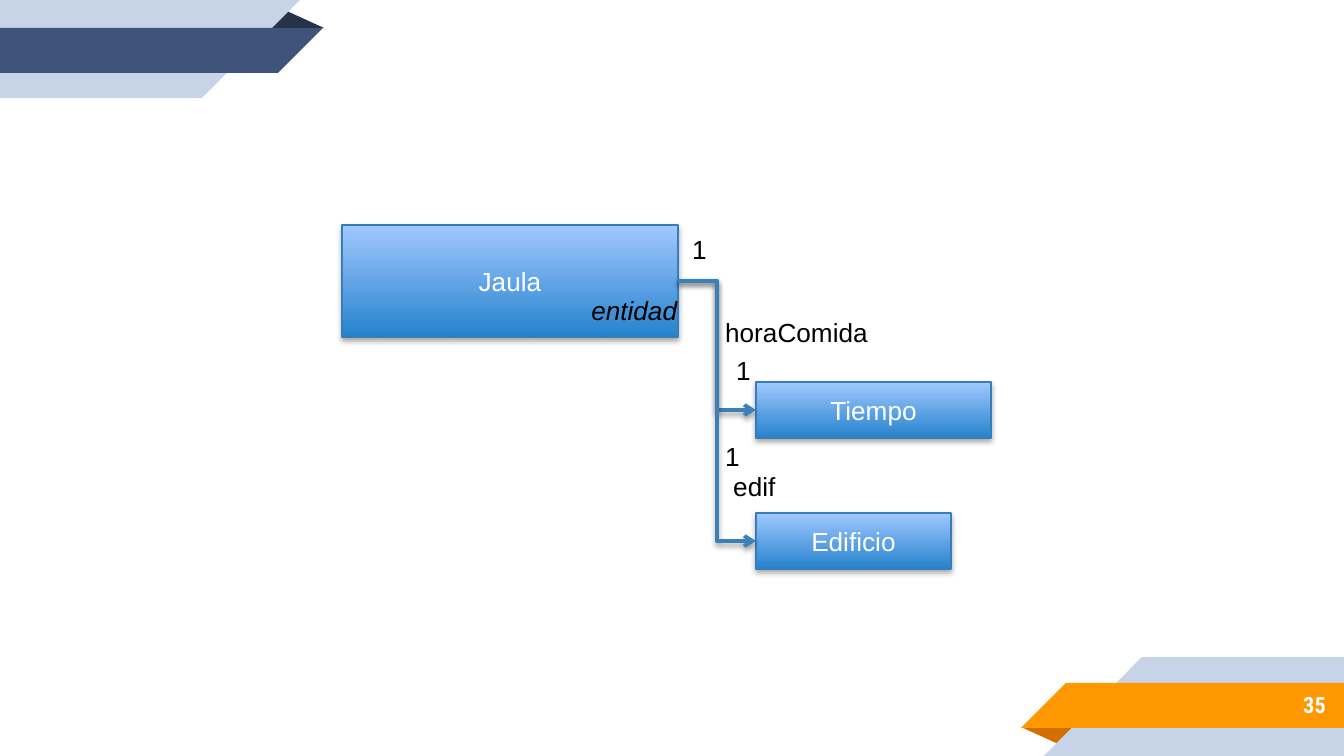
from lxml.etree import SubElement
from pptx import Presentation
from pptx.dml.color import RGBColor as Rgb
from pptx.enum.shapes import MSO_CONNECTOR as Connector, MSO_SHAPE as Shape
from pptx.enum.text import MSO_ANCHOR as Anchor, PP_ALIGN as Align
from pptx.oxml.ns import qn
from pptx.util import Emu, Pt

PX = 914400 / 134.4


class Theme:
    pale, navy, navy_fold = "C7D3E6", "3F5378", "263248"
    orange, orange_fold = "FF9800", "D26F00"
    box_low, box_high, box_line = "2783CD", "A0C8FF", "367EB9"
    arrow, ink, white = "3A81BA", "000000", "FFFFFF"
    font, number_font = "Arial", "Roboto Condensed"
    body_size, number_size = 14, 12


def write_text(shape, text, color=Theme.ink, size=Theme.body_size, font=Theme.font,
               bold=False, italic=False, align=Align.LEFT, anchor=Anchor.TOP, wrap=True):
    frame = shape.text_frame
    frame.word_wrap, frame.vertical_anchor = wrap, anchor
    para = frame.paragraphs[0]
    para.alignment = align
    span = para.add_run()
    span.text = text
    span.font.name, span.font.size = font, Pt(size)
    span.font.bold, span.font.italic = bold, italic
    span.font.color.rgb = Rgb.from_string(color)
    return frame


def add_shadow(properties, distance, opacity):
    effects = properties.find(qn("a:effectLst"))
    if effects is None:
        effects = SubElement(properties, qn("a:effectLst"))
    shadow = SubElement(effects, qn("a:outerShdw"), blurRad=str(Pt(3.1)),
                        dist=str(Pt(distance)), dir="5400000", rotWithShape="0")
    black = SubElement(shadow, qn("a:srgbClr"), val=Theme.ink)
    SubElement(black, qn("a:alpha"), val=str(opacity * 1000))


deck = Presentation()
deck.slide_width, deck.slide_height = Emu(round(1344 * PX)), Emu(round(756 * PX))
page = deck.slides.add_slide(deck.slide_layouts[6])
shapes = page.shapes

# Corner ribbons: kind, left, top, width, height, colour, rotation, mirrored
ribbons = [
    (Shape.ISOSCELES_TRIANGLE, 1021, 727, 58, 18, Theme.orange_fold, 180, False),
    (Shape.RECTANGLE, 1142, 657, 202, 99, Theme.pale, 0, False),
    (Shape.RIGHT_TRIANGLE, 1044, 657, 98, 99, Theme.pale, 0, True),
    (Shape.RECTANGLE, 1066, 683, 278, 45, Theme.orange, 0, False),
    (Shape.RIGHT_TRIANGLE, 1021, 683, 45, 45, Theme.orange, 0, True),
    (Shape.ISOSCELES_TRIANGLE, 266, 10, 58, 18, Theme.navy_fold, 0, False),
    (Shape.RECTANGLE, 0, 0, 202, 98, Theme.pale, 0, False),
    (Shape.RIGHT_TRIANGLE, 202, 0, 98, 98, Theme.pale, 180, True),
    (Shape.RECTANGLE, 0, 28, 278, 45, Theme.navy, 0, False),
    (Shape.RIGHT_TRIANGLE, 278, 28, 45, 45, Theme.navy, 180, True),
]
for kind, *place, color, rotation, mirrored in ribbons:
    ribbon = shapes.add_shape(kind, *[round(side * PX) for side in place])
    ribbon.shadow.inherit = False
    ribbon.fill.solid()
    ribbon.fill.fore_color.rgb = Rgb.from_string(color)
    ribbon.line.fill.background()
    ribbon.rotation = rotation
    if mirrored:
        ribbon._element.spPr.xfrm.set("flipH", "1")
    if kind == Shape.ISOSCELES_TRIANGLE:
        ribbon.adjustments[0] = 0.32

# Page number
number = shapes.add_textbox(*[round(side * PX) for side in (1120, 681, 219, 47)])
write_text(number, "35", color=Theme.white, size=Theme.number_size, font=Theme.number_font,
           bold=True, align=Align.RIGHT, anchor=Anchor.MIDDLE)

# Class boxes
classes = {}
for name, *place in [("Jaula", 342, 225, 336, 112), ("Tiempo", 756, 382, 235, 56),
                     ("Edificio", 756, 513, 195, 56)]:
    box = shapes.add_shape(Shape.RECTANGLE, *[round(side * PX) for side in place])
    box.fill.gradient()
    box.fill.gradient_angle = 90
    for stop, color in zip(box.fill.gradient_stops, (Theme.box_low, Theme.box_high)):
        stop.color.rgb = Rgb.from_string(color)
    for stop, position in zip(box.fill.gradient_stops, (0, 1)):
        stop.position = position
    box.line.color.rgb = Rgb.from_string(Theme.box_line)
    box.line.width = Pt(0.75)
    box.shadow.inherit = False
    add_shadow(box._element.spPr, 1.8, 35)
    write_text(box, name, color=Theme.white, align=Align.CENTER, anchor=Anchor.MIDDLE)
    classes[name] = box

# Arrows from the right side of Jaula to the left side of each part
for target in ("Tiempo", "Edificio"):
    arrow = shapes.add_connector(Connector.ELBOW, 0, 0, 0, 0)
    arrow.begin_connect(classes["Jaula"], 3)
    arrow.end_connect(classes[target], 1)
    arrow.line.color.rgb = Rgb.from_string(Theme.arrow)
    arrow.line.width = Pt(2)
    SubElement(arrow.line._get_or_add_ln(), qn("a:tailEnd"), type="arrow")
    add_shadow(arrow._element.spPr, 1.6, 38)

# Relation names and multiplicities
for text, *place in [("1", 723, 348, 44, 54), ("horaComida", 712, 310, 171, 46),
                     ("1", 679, 227, 44, 54), ("entidad", 578, 288, 124, 46),
                     ("1", 712, 434, 44, 54), ("edif", 720, 464, 70, 46)]:
    label = shapes.add_textbox(*[round(side * PX) for side in place])
    is_stereotype = text == "entidad"
    write_text(label, text, italic=is_stereotype, wrap=is_stereotype)

deck.save("out.pptx")
